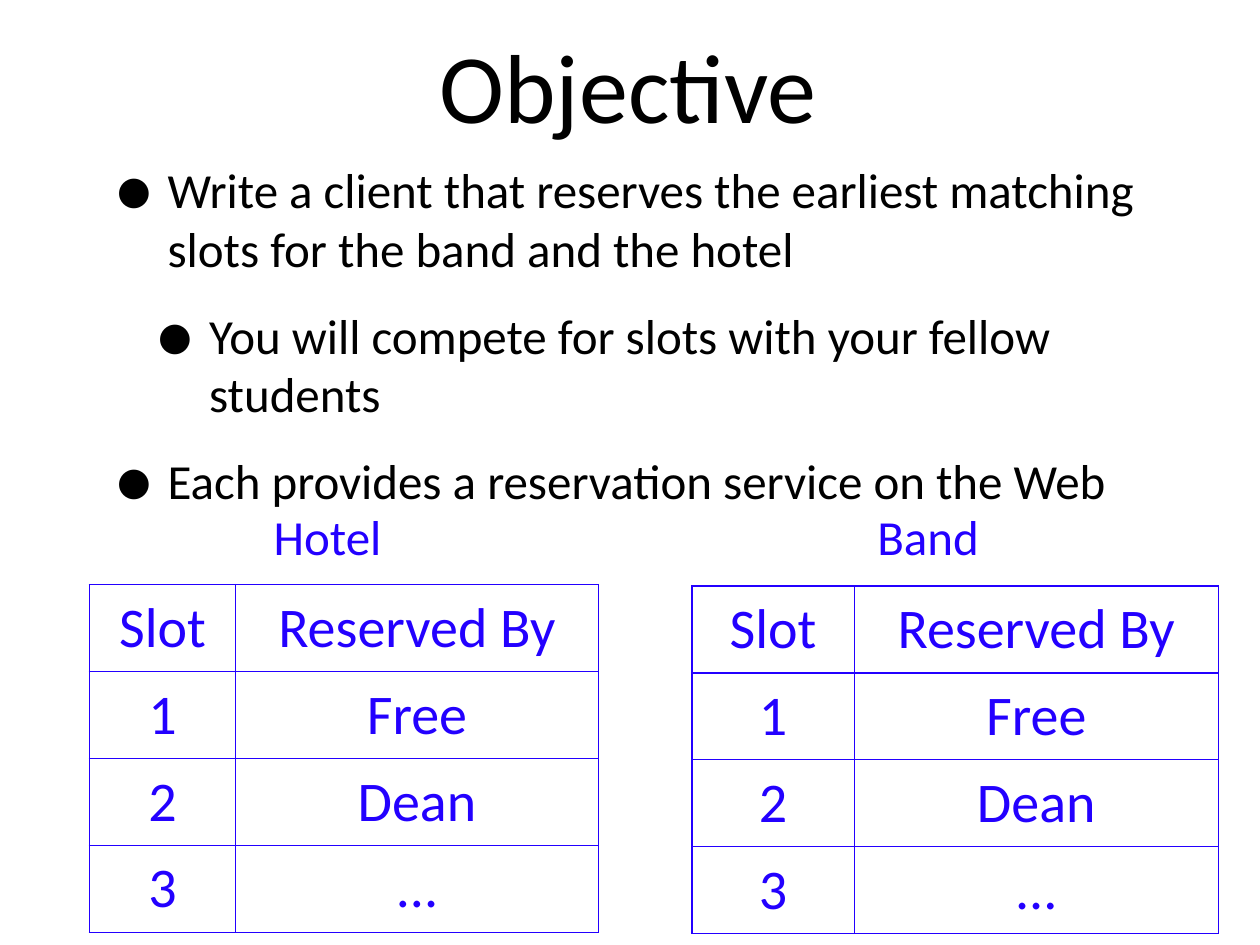
from dataclasses import dataclass

import pptx
import pptx.dml.color
import pptx.enum.text
import pptx.oxml
import pptx.oxml.ns
import pptx.util

Inches = pptx.util.Inches
Pt = pptx.util.Pt
RGB = pptx.dml.color.RGBColor
ALIGN = pptx.enum.text.PP_ALIGN
MIDDLE = pptx.enum.text.MSO_ANCHOR.MIDDLE
NAMESPACE = pptx.oxml.ns.nsdecls("a")


@dataclass(frozen=True)
class Theme:
    font: str = "Calibri"
    ink: str = "000000"
    accent: str = "2300FF"
    title: int = 56
    body: int = 28
    cell: int = 32
    border: float = 0.96
    bullet_percent: int = 171


@dataclass(frozen=True)
class Box:
    left: float
    top: float
    width: float
    height: float
    margins: tuple = (0, 0, 0, 0)
    wrap: bool = True


@dataclass(frozen=True)
class Bullet:
    text: str
    indent: float
    level: int = 0


@dataclass(frozen=True)
class Schedule:
    name: str
    label: Box
    left: float
    top: float
    columns: tuple


THEME = Theme()
ROW_HEIGHT = 0.69
HANGING = 0.43
ROWS = (("Slot", "Reserved By"), ("1", "Free"), ("2", "Dean"), ("3", "..."))
BULLETS = (
    Bullet("Write a client that reserves the earliest matching slots "
           "for the band and the hotel", 0.63),
    Bullet("You will compete for slots with your fellow students", 0.96, 1),
    Bullet("Each provides a reservation service on the Web", 0.63),
)
SCHEDULES = (
    Schedule("Band", Box(6.89, 4.02, 0.95, 0.47, wrap=False), 5.49, 4.65, (1.29, 2.89)),
    Schedule("Hotel", Box(2.11, 4.02, 0.98, 0.47, wrap=False), 0.71, 4.64, (1.16, 2.88)),
)


def apply(target, values: dict) -> None:
    for name, value in values.items():
        setattr(target, name, value)


def margin_values(margins: tuple) -> dict:
    sides = ("margin_left", "margin_top", "margin_right", "margin_bottom")
    return {side: Inches(size) for side, size in zip(sides, margins)}


def add_frame(page, box: Box):
    shape = page.shapes.add_textbox(
        *map(Inches, (box.left, box.top, box.width, box.height)))
    frame = shape.text_frame
    apply(frame, {"word_wrap": box.wrap, "vertical_anchor": MIDDLE,
                  **margin_values(box.margins)})
    return frame


def write(para, text: str, size: int, color: str, align=ALIGN.CENTER) -> None:
    para.alignment = align
    span = para.add_run()
    span.text = text
    apply(span.font, {"name": THEME.font, "size": Pt(size)})
    span.font.color.rgb = RGB.from_string(color)


def add_label(page, box: Box, text: str, size: int, color: str) -> None:
    write(add_frame(page, box).paragraphs[0], text, size, color)


def add_bullets(page, box: Box, bullets: tuple) -> None:
    frame = add_frame(page, box)
    for index, bullet in enumerate(bullets):
        para = frame.add_paragraph() if index else frame.paragraphs[0]
        properties = para._p.get_or_add_pPr()
        properties.set("marL", str(Inches(bullet.indent)))
        properties.set("indent", str(-Inches(HANGING)))
        for element in (
            f'<a:buClr {NAMESPACE}><a:srgbClr val="{THEME.ink}"/></a:buClr>',
            f'<a:buSzPct {NAMESPACE} val="{THEME.bullet_percent * 1000}"/>',
            f'<a:buFont {NAMESPACE} typeface="{THEME.font}"/>',
            f'<a:buChar {NAMESPACE} char="•"/>',
        ):
            properties.append(pptx.oxml.parse_xml(element))
        apply(para, {"level": bullet.level, "space_before": Pt(16 if index else 0)})
        write(para, bullet.text, THEME.body, THEME.ink, ALIGN.LEFT)


def add_borders(cell) -> None:
    properties = cell._tc.get_or_add_tcPr()
    for index, side in enumerate("LRTB"):
        properties.insert(index, pptx.oxml.parse_xml(
            f'<a:ln{side} {NAMESPACE} w="{Pt(THEME.border)}"><a:solidFill>'
            f'<a:srgbClr val="{THEME.accent}"/></a:solidFill></a:ln{side}>'))


def add_schedule(page, schedule: Schedule) -> None:
    table = page.shapes.add_table(
        len(ROWS), len(schedule.columns), Inches(schedule.left), Inches(schedule.top),
        Inches(sum(schedule.columns)), Inches(ROW_HEIGHT * len(ROWS))).table
    apply(table, {"first_row": False, "horz_banding": False})
    for column, width in zip(table.columns, schedule.columns):
        column.width = Inches(width)
    for row, texts in zip(table.rows, ROWS):
        row.height = Inches(ROW_HEIGHT)
        for cell, text in zip(row.cells, texts):
            apply(cell, {"vertical_anchor": MIDDLE,
                         **margin_values((0.04, 0.05, 0.04, 0.05))})
            cell.fill.background()
            add_borders(cell)
            write(cell.text_frame.paragraphs[0], text, THEME.cell, THEME.accent)
    add_label(page, schedule.label, schedule.name, THEME.body, THEME.accent)


def main() -> None:
    deck = pptx.Presentation()
    apply(deck, {"slide_width": Inches(10), "slide_height": Inches(7.5)})
    page = deck.slides.add_slide(deck.slide_layouts[6])

    # Title
    add_label(page, Box(0.97, 0.17, 8.06, 0.99, (0.15, 0, 0.18, 0)),
              "Objective", THEME.title, THEME.ink)
    # Reservation tables with their headings
    for schedule in SCHEDULES:
        add_schedule(page, schedule)
    # Task description
    add_bullets(page, Box(0.65, 1.01, 8.69, 3.19, (0.05, 0.1, 0.05, 0)), BULLETS)

    deck.save("out.pptx")


if __name__ == "__main__":
    main()
